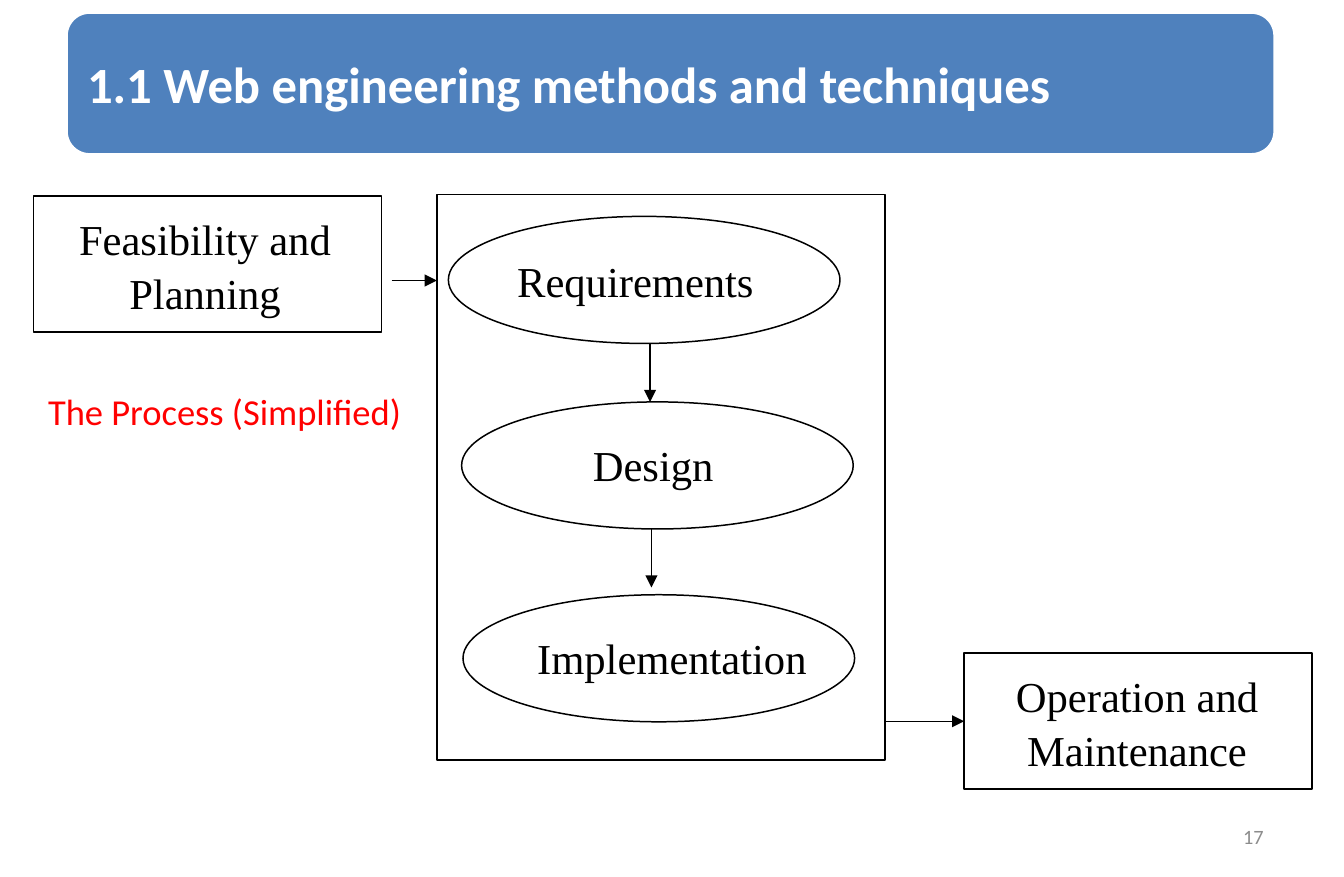
"""Build a slide that shows a simplified web engineering process."""
from pptx import Presentation
from pptx import util as u
from pptx.dml import color
from pptx.enum import shapes, text
from pptx.oxml import ns
from lxml import etree

BLACK = color.RGBColor(0x00, 0x00, 0x00)
WHITE = color.RGBColor(0xFF, 0xFF, 0xFF)
BLUE = color.RGBColor(0x4F, 0x81, 0xBD)
RED = color.RGBColor(0xFF, 0x00, 0x00)
GRAY = color.RGBColor(0x8C, 0x8C, 0x8C)

KIND = shapes.MSO_SHAPE
LEFT, CENTER, RIGHT = text.PP_ALIGN.LEFT, text.PP_ALIGN.CENTER, text.PP_ALIGN.RIGHT
TOP, MIDDLE = text.MSO_ANCHOR.TOP, text.MSO_ANCHOR.MIDDLE

LABEL = {"name": "Times New Roman", "size": u.Pt(21)}
TITLE = {"name": "Calibri", "size": u.Pt(25), "bold": True}
CAPTION = {"name": "Calibri", "size": u.Pt(18)}
NUMBER = {"name": "Calibri", "size": u.Pt(10)}

STAGE_SIZE = (193, 62.6)
STEP_SIZE = (171.4, 67)


def set_attributes(target, values):
    for name, value in values.items():
        setattr(target, name, value)


def points(*lengths):
    return [u.Pt(length) for length in lengths]


def write(shape, lines, font, tint, align=LEFT, anchor=TOP, margins=(6.5, 3.2), wrap=True):
    frame = shape.text_frame
    across, down = points(*margins)
    set_attributes(frame, {
        "margin_left": across, "margin_right": across,
        "margin_top": down, "margin_bottom": down,
        "word_wrap": wrap, "vertical_anchor": anchor,
    })
    for index, line in enumerate(lines):
        paragraph = frame.add_paragraph() if index else frame.paragraphs[0]
        paragraph.text = line
        paragraph.alignment = align
        if index:
            paragraph.space_before = u.Pt(1.5)
        set_attributes(paragraph.font, font)
        paragraph.font.color.rgb = tint


def add_text(slide, box, lines, font, tint=BLACK, **layout):
    write(slide.shapes.add_textbox(*points(*box)), lines, font, tint, **layout)


def add_outline(slide, kind, box, line=BLACK, width=0.75, fill=None):
    shape = slide.shapes.add_shape(kind, *points(*box))
    shape.shadow.inherit = False
    if fill is None:
        shape.fill.background()
    else:
        shape.fill.solid()
        shape.fill.fore_color.rgb = fill
    shape.line.color.rgb = line
    shape.line.width = u.Pt(width)
    return shape


def add_arrow(slide, start, end, target=None, site=1):
    arrow = slide.shapes.add_connector(shapes.MSO_CONNECTOR.STRAIGHT, *points(*start, *end))
    if target is not None:
        arrow.end_connect(target, site)
    arrow.line.color.rgb = BLACK
    arrow.line.width = u.Pt(0.75)
    etree.SubElement(arrow.line._get_or_add_ln(), ns.qn("a:tailEnd"), type="triangle")
    etree.SubElement(arrow._element.spPr, ns.qn("a:effectLst"))


def main():
    presentation = Presentation()
    presentation.slide_width, presentation.slide_height = points(662.4, 432)
    slide = presentation.slides.add_slide(presentation.slide_layouts[6])

    banner = add_outline(slide, KIND.ROUNDED_RECTANGLE, (32.4, 5.8, 596.2, 70.6), WHITE, 2, BLUE)
    write(banner, ["1.1 Web engineering methods and techniques"], TITLE, WHITE,
          anchor=MIDDLE, margins=(7.2, 7.2))

    add_outline(slide, KIND.RECTANGLE, (215.3, 95.8, 221, 278.6))
    for left, top in ((221, 106.6), (227.5, 198), (228.2, 293)):
        add_outline(slide, KIND.OVAL, (left, top, *STAGE_SIZE))
    add_outline(slide, KIND.RECTANGLE, (16.6, 96.5, *STEP_SIZE))
    operation = add_outline(slide, KIND.RECTANGLE, (475.2, 321.8, *STEP_SIZE))

    add_text(slide, (248.4, 122.4, 130.3, 31.7), ["Requirements"], LABEL, wrap=False)
    add_text(slide, (236.2, 213.1, 171.4, 31.7), ["Design"], LABEL, align=CENTER)
    add_text(slide, (245.5, 308.2, 171.4, 31.7), ["Implementation"], LABEL, align=CENTER)
    add_text(slide, (26.6, 101.5, 149, 56.9), ["Feasibility and", "Planning"], LABEL, align=CENTER)
    add_text(slide, (486, 326.9, 149, 56.9), ["Operation and", "Maintenance"], LABEL, align=CENTER)

    add_arrow(slide, (193, 138.2), (215.3, 138.2))
    add_arrow(slide, (320.4, 169.2), (320.4, 198))
    add_arrow(slide, (321.1, 260.6), (321.1, 289.4))
    add_arrow(slide, (436.3, 355.3), (475.2, 355.3), operation)

    add_text(slide, (16.6, 187.9, 190.1, 28.8), ["The Process (Simplified)"], CAPTION, RED,
             margins=(7.2, 3.6))
    add_text(slide, (474.5, 400.3, 154.8, 23), ["17"], NUMBER, GRAY, align=RIGHT, anchor=MIDDLE)

    presentation.save("out.pptx")


if __name__ == "__main__":
    main()
